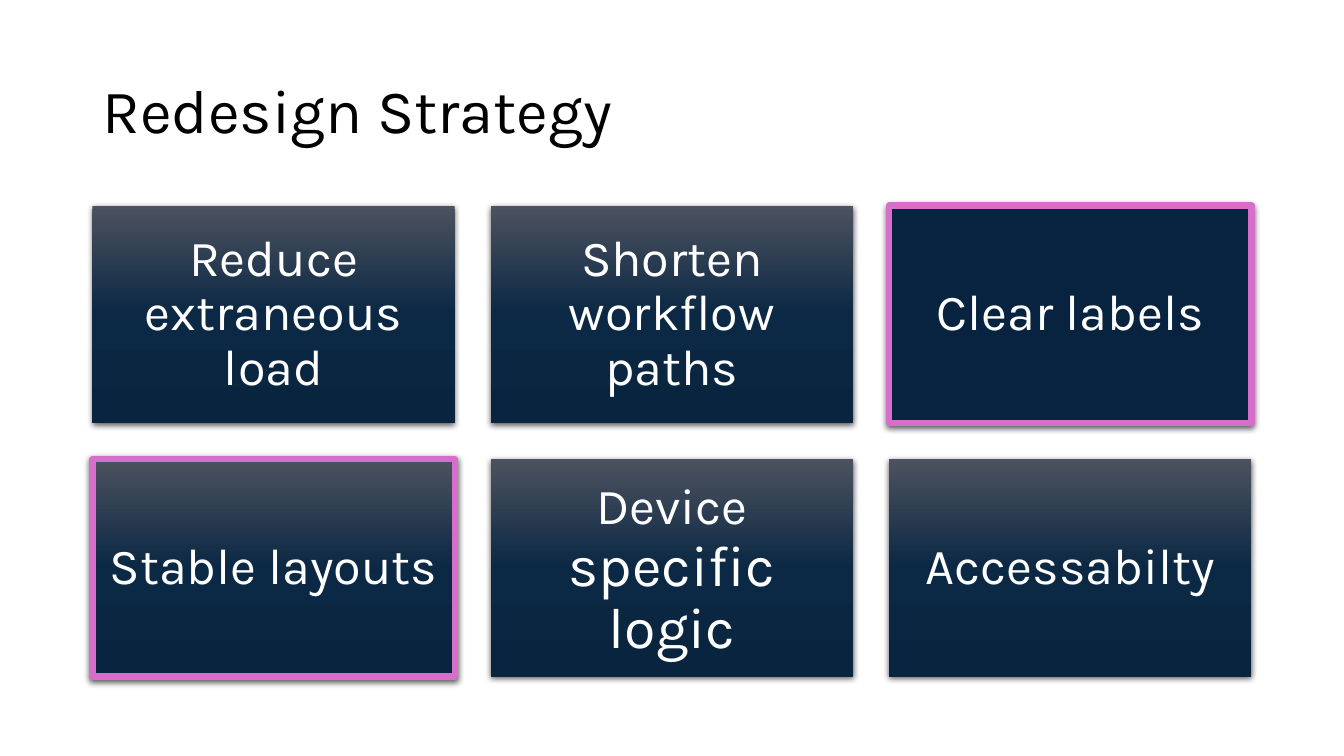
"""Build the Redesign Strategy slide: a title above a grid of six cards."""
from copy import deepcopy

from lxml import etree
from pptx import Presentation
from pptx.dml.color import RGBColor
from pptx.enum import shapes, text
from pptx.oxml import ns
from pptx.util import Cm, Pt

TITLE = "Redesign Strategy"
PLAIN, OUTLINED, SOLID = "plain", "outlined", "solid"
CARDS = [
    ([("Reduce extraneous load", 36)], PLAIN),
    ([("Shorten workflow paths", 36)], PLAIN),
    ([("Clear labels", 36)], SOLID),
    ([("Stable layouts", 36)], OUTLINED),
    ([("Device", 36), (" specific logic", 41)], PLAIN),
    ([("Accessabilty", 36)], PLAIN),
]

FONT = "Karla"
BLACK = RGBColor(0x00, 0x00, 0x00)
WHITE = RGBColor(0xFF, 0xFF, 0xFF)
NAVY = RGBColor(0x08, 0x23, 0x3F)
PINK = RGBColor(0xD8, 0x6E, 0xCC)
GRADIENT = [
    (0, RGBColor(0x4C, 0x52, 0x5F)),
    (0.5, RGBColor(0x0B, 0x28, 0x44)),
    (1, RGBColor(0x08, 0x24, 0x3E)),
]

COLUMNS = 3
LEFT, TOP = 2.33, 5.18
CARD_WIDTH, CARD_HEIGHT, GAP = 9.13, 5.48, 0.91
INSET = Cm(0.38)


def style_run(run, size, color):
    """Apply the slide font to a run."""
    run.font.name = FONT
    run.font.size = Pt(size)
    run.font.color.rgb = color


def add_title(slide):
    """Place and format the title."""
    title = slide.shapes.title
    title.left, title.top = Cm(LEFT), Cm(1.01)
    title.width, title.height = Cm(29.21), Cm(3.68)
    frame = title.text_frame
    frame.text = TITLE
    frame.auto_size = text.MSO_AUTO_SIZE.NONE
    frame.vertical_anchor = text.MSO_ANCHOR.MIDDLE
    heading = frame.paragraphs[0]
    heading.alignment = text.PP_ALIGN.LEFT
    heading.line_spacing = 0.9
    style_run(heading.runs[0], 44, BLACK)


def fill_gradient(card):
    """Fill a card with the vertical three-stop gradient."""
    card.fill.gradient()
    card.fill.gradient_angle = 270
    stop_list = card.fill._xPr.find(".//" + ns.qn("a:gsLst"))
    stop_list.append(deepcopy(stop_list[0]))
    for stop, (position, color) in zip(card.fill.gradient_stops, GRADIENT):
        stop.position = position
        stop.color.rgb = color


def add_shadow(card):
    """Give a card a soft shadow that falls straight down."""
    card.shadow.inherit = False
    effects = card._element.spPr.find(ns.qn("a:effectLst"))
    shadow = etree.SubElement(
        effects, ns.qn("a:outerShdw"), blurRad=str(Pt(4.5)), dist=str(Pt(1.5)),
        dir="5400000", algn="ctr", rotWithShape="0")
    color = etree.SubElement(shadow, ns.qn("a:srgbClr"), val=str(BLACK))
    etree.SubElement(color, ns.qn("a:alpha"), val="63000")


def add_card(slide, index, parts, style):
    """Add one card at its place in the grid."""
    row, column = divmod(index, COLUMNS)
    card = slide.shapes.add_shape(
        shapes.MSO_SHAPE.RECTANGLE,
        Cm(LEFT + column * (CARD_WIDTH + GAP)),
        Cm(TOP + row * (CARD_HEIGHT + GAP)),
        Cm(CARD_WIDTH), Cm(CARD_HEIGHT))
    if style == SOLID:
        card.fill.solid()
        card.fill.fore_color.rgb = NAVY
    else:
        fill_gradient(card)
    if style == PLAIN:
        card.line.fill.background()
    else:
        card.line.color.rgb = PINK
        card.line.width = Pt(4.5)
    add_shadow(card)

    frame = card.text_frame
    frame.word_wrap = True
    frame.vertical_anchor = text.MSO_ANCHOR.MIDDLE
    frame.margin_left = frame.margin_right = INSET
    frame.margin_top = frame.margin_bottom = INSET
    label = frame.paragraphs[0]
    label.alignment = text.PP_ALIGN.CENTER
    label.line_spacing = 0.9
    for wording, size in parts:
        run = label.add_run()
        run.text = wording
        style_run(run, size, WHITE)


def main():
    """Build and save the slide."""
    deck = Presentation()
    deck.slide_width, deck.slide_height = Cm(33.87), Cm(19.05)
    slide = deck.slides.add_slide(deck.slide_layouts.get_by_name("Title Only"))
    add_title(slide)
    for index, (parts, style) in enumerate(CARDS):
        add_card(slide, index, parts, style)
    deck.save("out.pptx")


if __name__ == "__main__":
    main()
